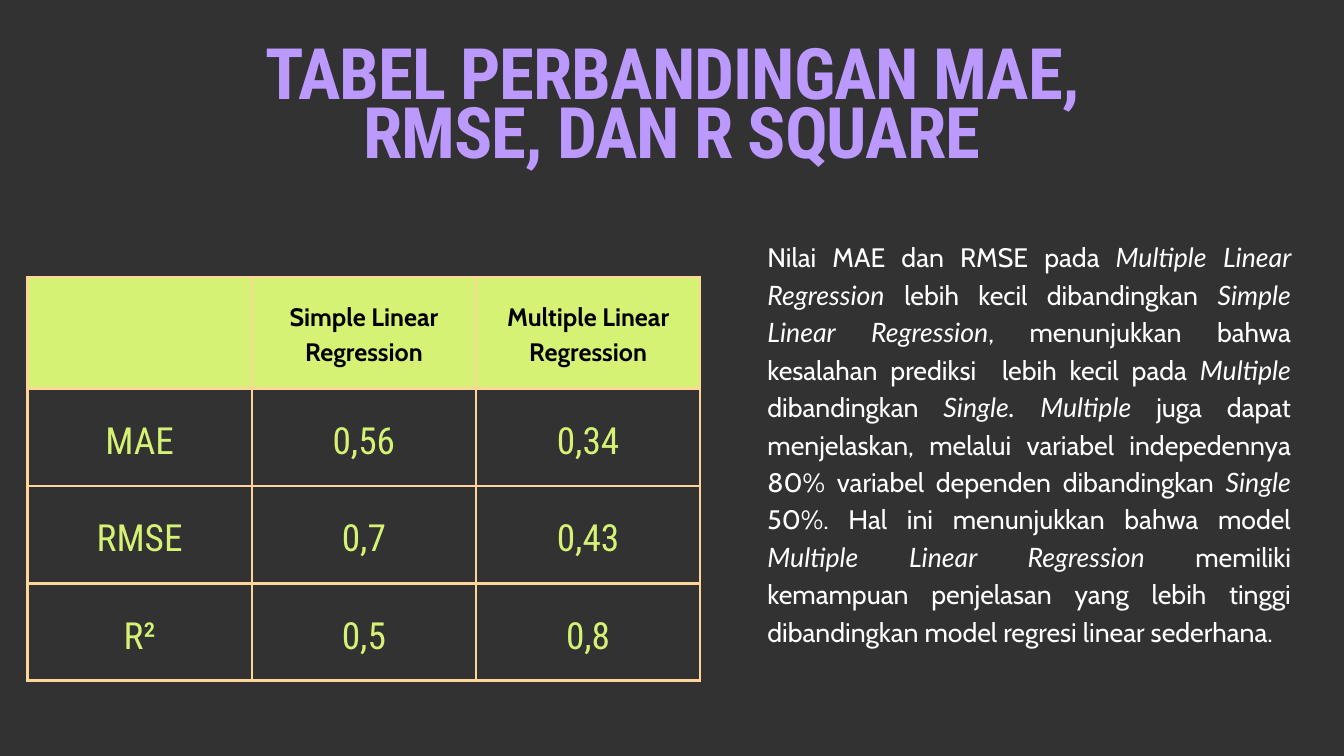
from lxml import etree
from pptx import Presentation
from pptx.dml.color import RGBColor
from pptx.enum.text import MSO_ANCHOR, MSO_AUTO_SIZE, PP_ALIGN
from pptx.oxml.ns import qn
from pptx.util import Inches, Pt

DARK, PURPLE, LIME, PEACH = "323232", "BB99FF", "D5F275", "FFD699"
BLACK, WHITE = "000000", "FFFFFF"
HEADING, BODY, BODY_ITALIC = "Roboto Condensed", "Cabin", "Lato"

TITLE = "TABEL PERBANDINGAN MAE, RMSE, DAN R SQUARE"
ROWS = [
    ["", "Simple Linear Regression", "Multiple Linear Regression"],
    ["MAE", "0,56", "0,34"],
    ["RMSE", "0,7", "0,43"],
    ["R²", "0,5", "0,8"],
]
# Plain and italic runs alternate, starting with plain.
EXPLANATION = [
    "Nilai MAE dan RMSE pada ",
    "Multiple Linear Regression ",
    "lebih kecil dibandingkan ",
    "Simple Linear Regression",
    ", menunjukkan bahwa kesalahan prediksi  lebih kecil pada ",
    "Multiple",
    " dibandingkan ",
    "Single. Multiple",
    " juga dapat menjelaskan, melalui variabel indepedennya 80% variabel "
    "dependen dibandingkan ",
    "Single",
    " 50%. Hal ini menunjukkan bahwa model ",
    "Multiple Linear Regression",
    " memiliki kemampuan penjelasan yang lebih tinggi dibandingkan model "
    "regresi linear sederhana.",
]


def rgb(color):
    return RGBColor.from_string(color)


def add_run(p, text, size, font, color, bold=False, italic=False):
    r = p.add_run()
    r.text = text
    r.font.size, r.font.name = Pt(size), font
    r.font.bold, r.font.italic = bold, italic
    r.font.color.rgb = rgb(color)
    return r


def set_frame(tf):
    """Wrap text from the top-left corner, with no margins or resizing."""
    tf.word_wrap, tf.auto_size = True, MSO_AUTO_SIZE.NONE
    tf.vertical_anchor = MSO_ANCHOR.TOP
    tf.margin_left = tf.margin_right = tf.margin_top = tf.margin_bottom = 0


def set_borders(cell, color, width):
    tcPr = cell._tc.get_or_add_tcPr()
    for i, side in enumerate(("lnL", "lnR", "lnT", "lnB")):
        ln = etree.Element(qn(f"a:{side}"), w=str(Pt(width)))
        fill = etree.SubElement(ln, qn("a:solidFill"))
        etree.SubElement(fill, qn("a:srgbClr"), val=color)
        tcPr.insert(i, ln)


def add_title(slide, left, top, width, height):
    sp = slide.shapes.title
    sp.left, sp.top, sp.width, sp.height = map(Inches, (left, top, width, height))
    set_frame(sp.text_frame)
    p = sp.text_frame.paragraphs[0]
    p.alignment, p.line_spacing = PP_ALIGN.CENTER, Pt(63.1)
    r = add_run(p, TITLE, 76, HEADING, PURPLE, bold=True)
    r.font._element.set("spc", "-110")


def fill_cell(cell, text, is_header):
    cell.vertical_anchor = MSO_ANCHOR.MIDDLE
    cell.margin_left = cell.margin_right = Inches(0.21)
    cell.margin_top = cell.margin_bottom = Inches(0.21)
    if is_header:
        cell.fill.solid()
        cell.fill.fore_color.rgb = rgb(LIME)
    else:
        cell.fill.background()
    set_borders(cell, PEACH, 3)
    if not text:
        return
    p = cell.text_frame.paragraphs[0]
    p.alignment = PP_ALIGN.CENTER
    if is_header:
        p.line_spacing = Pt(37.8)
        add_run(p, text, 27, BODY, BLACK, bold=True)
    else:
        p.line_spacing = Pt(56)
        add_run(p, text, 40, HEADING, LIME)


def add_metrics_table(slide, left, top, width, height, header_height=1.66):
    box = map(Inches, (left, top, width, height))
    table = slide.shapes.add_table(len(ROWS), len(ROWS[0]), *box).table
    table.horz_banding = False
    for column in table.columns:
        column.width = Inches(width / len(ROWS[0]))
    row_height = (height - header_height) / (len(ROWS) - 1)
    for i, texts in enumerate(ROWS):
        table.rows[i].height = Inches(row_height if i else header_height)
        for j, text in enumerate(texts):
            fill_cell(table.cell(i, j), text, is_header=i == 0)


def add_explanation(slide, left, top, width, height):
    sp = slide.shapes.add_textbox(*map(Inches, (left, top, width, height)))
    set_frame(sp.text_frame)
    p = sp.text_frame.paragraphs[0]
    p.alignment, p.line_spacing = PP_ALIGN.JUSTIFY, Pt(40.1)
    for i, text in enumerate(EXPLANATION):
        italic = i % 2 == 1
        add_run(p, text, 28.6, BODY_ITALIC if italic else BODY, WHITE, italic=italic)


def main():
    prs = Presentation()
    prs.slide_width, prs.slide_height = Inches(20), Inches(11.25)
    slide = prs.slides.add_slide(prs.slide_layouts.get_by_name("Title Only"))
    slide.background.fill.solid()
    slide.background.fill.fore_color.rgb = rgb(DARK)
    add_metrics_table(slide, 0.41, 4.12, 10.01, 6.01)
    add_title(slide, 2.84, 0.82, 14.31, 1.86)
    add_explanation(slide, 11.42, 3.51, 7.79, 7.17)
    prs.save("out.pptx")


if __name__ == "__main__":
    main()
